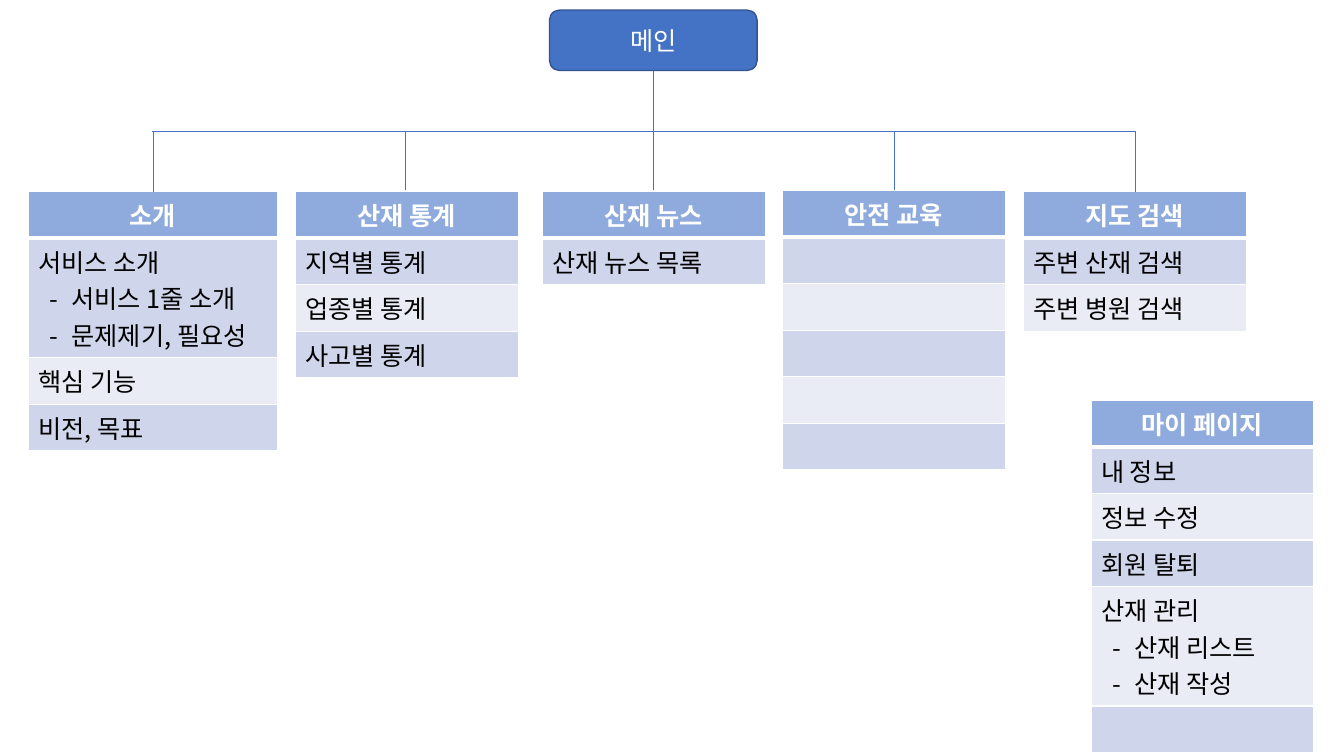
from dataclasses import dataclass
from lxml.etree import SubElement as Sub
from pptx import Presentation
from pptx.dml.color import RGBColor as Rgb
from pptx.enum.shapes import MSO_CONNECTOR as Conn, MSO_SHAPE as Kind
from pptx.enum.text import MSO_ANCHOR as Anchor, PP_ALIGN as Align
from pptx.oxml.ns import qn
from pptx.util import Inches, Pt

FONT = "Noto Sans CJK KR"
HUES = {"main": "4472C4", "edge": "325491", "line": "4472C4", "head": "8FAADC",
        "odd": "CFD5EA", "even": "E9EBF5", "white": "FFFFFF", "black": "000000"}
ROW = 0.41
BAR = 1.3  # height of the crossbar


@dataclass
class Menu:
    title: str
    left: float
    top: float
    rows: list[str]  # lines that start with "- " are sub-items
    width: float = 2.21


@dataclass
class Link:
    x1: float
    y1: float
    x2: float
    y2: float


MENUS = [
    Menu("소개", 0.28, 1.9, ["서비스 소개\n- 서비스 1줄 소개\n- 문제제기, 필요성",
                           "핵심 기능", "비전, 목표"], 2.47),
    Menu("산재 통계", 2.93, 1.9, ["지역별 통계", "업종별 통계", "사고별 통계"]),
    Menu("지도 검색", 10.15, 1.9, ["주변 산재 검색", "주변 병원 검색"]),
    Menu("안전 교육", 7.76, 1.89, [""] * 5),
    Menu("산재 뉴스", 5.38, 1.9, ["산재 뉴스 목록"]),
    Menu("마이 페이지", 10.82, 3.97, ["내 정보", "정보 수정", "회원 탈퇴",
                                "산재 관리\n- 산재 리스트\n- 산재 작성", ""]),
]
DROPS = [(1.52, 1.9), (4.02, 1.89), (6.48, 1.89), (8.87, 1.89), (11.26, 1.9)]
LINKS = [Link(1.51, BAR, 11.26, BAR)] + [Link(x, BAR, x, y) for x, y in DROPS]


def hue(name: str) -> Rgb:
    return Rgb.from_string(HUES[name])


def style(para, color: str, bold: bool = False) -> None:
    """Format the runs, or the end mark of an empty paragraph."""
    if not para.runs:
        mark = Sub(para._p, qn("a:endParaRPr"), sz="1800")
        for tag in ("a:latin", "a:ea"):
            Sub(mark, qn(tag), typeface=FONT)
    for run in para.runs:
        font = run.font
        font.size, font.bold, font.name = Pt(18), bold, FONT
        font.color.rgb = hue(color)
        Sub(font._element, qn("a:ea"), typeface=FONT)


def dash(para) -> None:
    """Turn a "- " line into a dashed list item."""
    para.text = para.text[2:]
    prop = para._p.get_or_add_pPr()
    prop.set("marL", str(Inches(0.33)))
    prop.set("indent", str(Inches(-0.22)))
    Sub(prop, qn("a:buFont"), typeface=FONT)
    Sub(prop, qn("a:buChar"), char="-")


def border(cell, base: float) -> None:
    prop = cell._tc.get_or_add_tcPr()
    for spot, side in enumerate("LRTB"):
        size = base if side == "B" else 1
        line = Sub(prop, qn(f"a:ln{side}"), w=str(Pt(size)))
        Sub(Sub(line, qn("a:solidFill")), qn("a:srgbClr"), val=HUES["white"])
        prop.insert(spot, line)


def draw_menu(slide, menu: Menu) -> None:
    texts = [menu.title] + menu.rows
    count = len(texts)
    frame = slide.shapes.add_table(count, 1, Inches(menu.left), Inches(menu.top),
                                   Inches(menu.width), Inches(ROW * count))
    table = frame.table
    for i, text in enumerate(texts):
        table.rows[i].height = Inches(ROW)
        cell = table.cell(i, 0)
        head = i == 0
        cell.fill.solid()
        cell.fill.fore_color.rgb = hue("head" if head else "odd" if i % 2 else "even")
        border(cell, 3 if head else 1)
        cell.text_frame.text = text
        for para in cell.text_frame.paragraphs:
            if head:
                para.alignment = Align.CENTER
            if para.text.startswith("- "):
                dash(para)
            style(para, "white" if head else "black", head)


def draw_link(slide, link: Link):
    ends = [Inches(v) for v in (link.x1, link.y1, link.x2, link.y2)]
    line = slide.shapes.add_connector(Conn.STRAIGHT, *ends)
    line.line.color.rgb = hue("line")
    line.line.width = Pt(0.5)
    Sub(line._element.spPr, qn("a:effectLst"))
    return line


def draw_main(slide):
    box = slide.shapes.add_shape(Kind.ROUNDED_RECTANGLE, Inches(5.45), Inches(0.1),
                                 Inches(2.06), Inches(0.6))
    box.shadow.inherit = False
    box.fill.solid()
    box.fill.fore_color.rgb = hue("main")
    box.line.color.rgb = hue("edge")
    box.line.width = Pt(1)
    box.text_frame.text = "메인"
    box.text_frame.vertical_anchor = Anchor.MIDDLE
    para = box.text_frame.paragraphs[0]
    para.alignment = Align.CENTER
    style(para, "white")
    return box


def main() -> None:
    deck = Presentation()
    deck.slide_width, deck.slide_height = Inches(13.33), Inches(7.5)
    slide = deck.slides.add_slide(deck.slide_layouts[6])

    # Main box and menu tables
    box = draw_main(slide)
    for menu in MENUS:
        draw_menu(slide, menu)

    # Tree lines, with the stem joined to the main box
    for link in LINKS:
        draw_link(slide, link)
    stem = draw_link(slide, Link(6.48, 0.7, 6.48, 1.41))
    stem.begin_connect(box, 2)

    deck.save("out.pptx")


if __name__ == "__main__":
    main()
